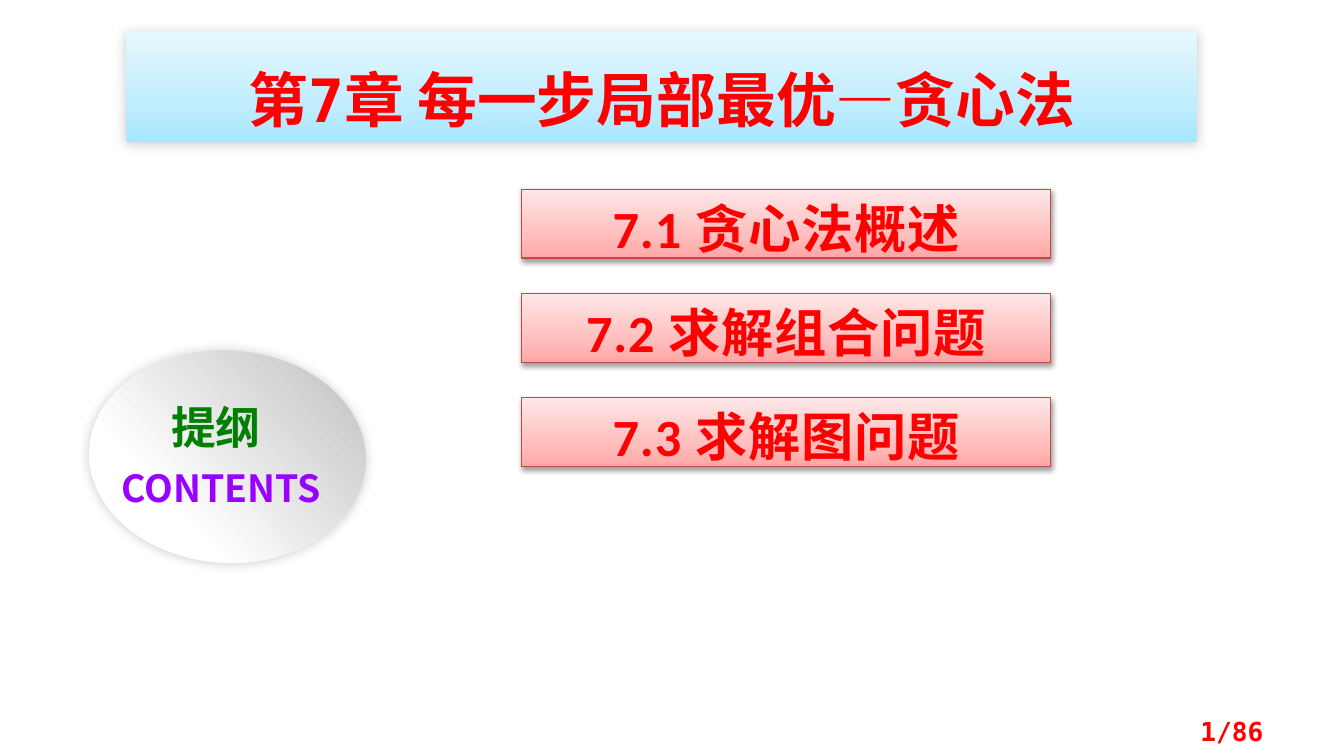
from dataclasses import dataclass

from pptx import Presentation
from pptx.dml.color import RGBColor
from pptx.enum.shapes import MSO_SHAPE as Preset
from pptx.enum.text import MSO_ANCHOR as Anchor, MSO_AUTO_SIZE as AutoSize, PP_ALIGN as Align
from pptx.oxml import parse_xml
from pptx.oxml.ns import nsdecls, qn
from pptx.util import Cm, Pt


@dataclass(frozen=True)
class Theme:
    red: str = "FF0000"
    green: str = "008000"
    violet: str = "9900FF"
    section_border: str = "BF4C48"
    # Gradient stops: (position in percent, colour)
    banner_fill: tuple = ((0, "A7E6FF"), (35, "C1EDFF"), (100, "E7F8FF"))
    section_fill: tuple = ((0, "FFA6A5"), (35, "FFC0BF"), (100, "FFE7E7"))
    badge_fill: tuple = ((29, "FFFFFF"), (98, "BFBFBF"))
    # Shadows: opacity in percent, blur and distance in points, direction in degrees
    banner_shadow: tuple = (20, 6, 1, 135)
    section_shadow: tuple = (38, 3.1, 1.6, 90)
    badge_shadow: tuple = (20, 6, 0, 225)
    mono: str = "DejaVu Sans Mono"
    sans: str = "Calibri"
    cjk: str = "Noto Sans CJK SC"
    title_size: int = 32
    section_size: int = 28
    outline_size: int = 24
    contents_size: int = 20
    page_size: int = 14


THEME = Theme()


def add_gradient(shape, stops, angle):
    """Fill with the stops; the angle runs counter-clockwise."""
    shape.fill.gradient()
    shape.fill.gradient_angle = angle
    stop_list = shape.fill.gradient_stops[0]._gs.getparent()
    for old_stop in list(stop_list):
        stop_list.remove(old_stop)
    for position, color in stops:
        stop_list.append(parse_xml(
            f'<a:gs {nsdecls("a")} pos="{position * 1000}"><a:srgbClr val="{color}"/></a:gs>'))


def add_shadow(shape, opacity, blur, distance, direction):
    shape.shadow.inherit = False
    effects = shape._element.spPr.find(qn("a:effectLst"))
    effects.append(parse_xml(
        f'<a:outerShdw {nsdecls("a")} blurRad="{Pt(blur)}" dist="{Pt(distance)}" '
        f'dir="{direction * 60000}" algn="ctr" rotWithShape="0"><a:srgbClr val="000000">'
        f'<a:alpha val="{opacity * 1000}"/></a:srgbClr></a:outerShdw>'))


def add_panel(slide, preset, box, stops, angle, shadow, border=None):
    panel = slide.shapes.add_shape(preset, *map(Cm, box))
    add_gradient(panel, stops, angle)
    if border:
        panel.line.color.rgb = RGBColor.from_string(border)
        panel.line.width = Pt(0.75)
    else:
        panel.line.fill.background()
    add_shadow(panel, *shadow)
    return panel


def write_text(shape, text, size, face, color, align=Align.CENTER, spacing=0):
    frame = shape.text_frame
    frame.text = text
    frame.word_wrap = True
    frame.vertical_anchor = Anchor.TOP
    frame.auto_size = AutoSize.SHAPE_TO_FIT_TEXT
    paragraph = frame.paragraphs[0]
    paragraph.alignment = align
    if align == Align.CENTER:
        paragraph._p.get_or_add_pPr().append(parse_xml(
            f'<a:spcBef {nsdecls("a")}><a:spcPct val="50000"/></a:spcBef>'))
    run = paragraph.runs[0]
    font = run.font
    font.size, font.name, font.bold = Pt(size), face, True
    font.color.rgb = RGBColor.from_string(color)
    properties = run._r.get_or_add_rPr()
    if spacing:
        properties.set("spc", str(spacing))
    if face == THEME.cjk:
        properties.append(parse_xml(f'<a:ea {nsdecls("a")} typeface="{face}"/>'))


def add_label(slide, box, text, size, face, color, align=Align.CENTER):
    label = slide.shapes.add_textbox(*map(Cm, box))
    write_text(label, text, size, face, color, align)
    return label


def add_banner(slide, title):
    banner = add_panel(slide, Preset.RECTANGLE, (2.39, 0.58, 20.24, 2.11),
                       THEME.banner_fill, 90, THEME.banner_shadow)
    write_text(banner, title, THEME.title_size, THEME.mono, THEME.red)
    banner.text_frame.margin_top = Cm(0.61)


def add_sections(slide, sections):
    first_top, pitch = 3.58, 1.97
    for row, section in enumerate(sections):
        bar = add_panel(slide, Preset.RECTANGLE,
                        (9.86, first_top + row * pitch, 10, 1.3),
                        THEME.section_fill, 90, THEME.section_shadow, THEME.section_border)
        write_text(bar, section, THEME.section_size, THEME.sans, THEME.red, spacing=50)


def add_outline_badge(slide):
    badge = add_panel(slide, Preset.OVAL, (2.29, 6.02, 4.01, 5.23),
                      THEME.badge_fill, 315, THEME.badge_shadow)
    badge.rotation = 273
    add_label(slide, (1.85, 8.66, 4.67, 1.12), "CONTENTS",
              THEME.contents_size, THEME.cjk, THEME.violet)
    add_label(slide, (2.77, 7.44, 2.62, 1.27), "提纲",
              THEME.outline_size, THEME.cjk, THEME.green)


def add_page_number(slide, text):
    number = add_label(slide, (18.21, 13.44, 5.92, 0.76), text,
                       THEME.page_size, THEME.mono, THEME.red, Align.RIGHT)
    number.text_frame.auto_size = AutoSize.NONE
    number.text_frame.vertical_anchor = Anchor.MIDDLE


def main():
    deck = Presentation()
    deck.slide_width, deck.slide_height = Cm(25.4), Cm(14.29)
    slide = deck.slides.add_slide(deck.slide_layouts[6])

    # Chapter title
    add_banner(slide, "第7章 每一步局部最优—贪心法")

    # Chapter sections
    add_sections(slide, ["7.1 贪心法概述", "7.2 求解组合问题", "7.3 求解图问题"])

    # Outline badge and page number
    add_outline_badge(slide)
    add_page_number(slide, "1/86")

    deck.save("out.pptx")


if __name__ == "__main__":
    main()
